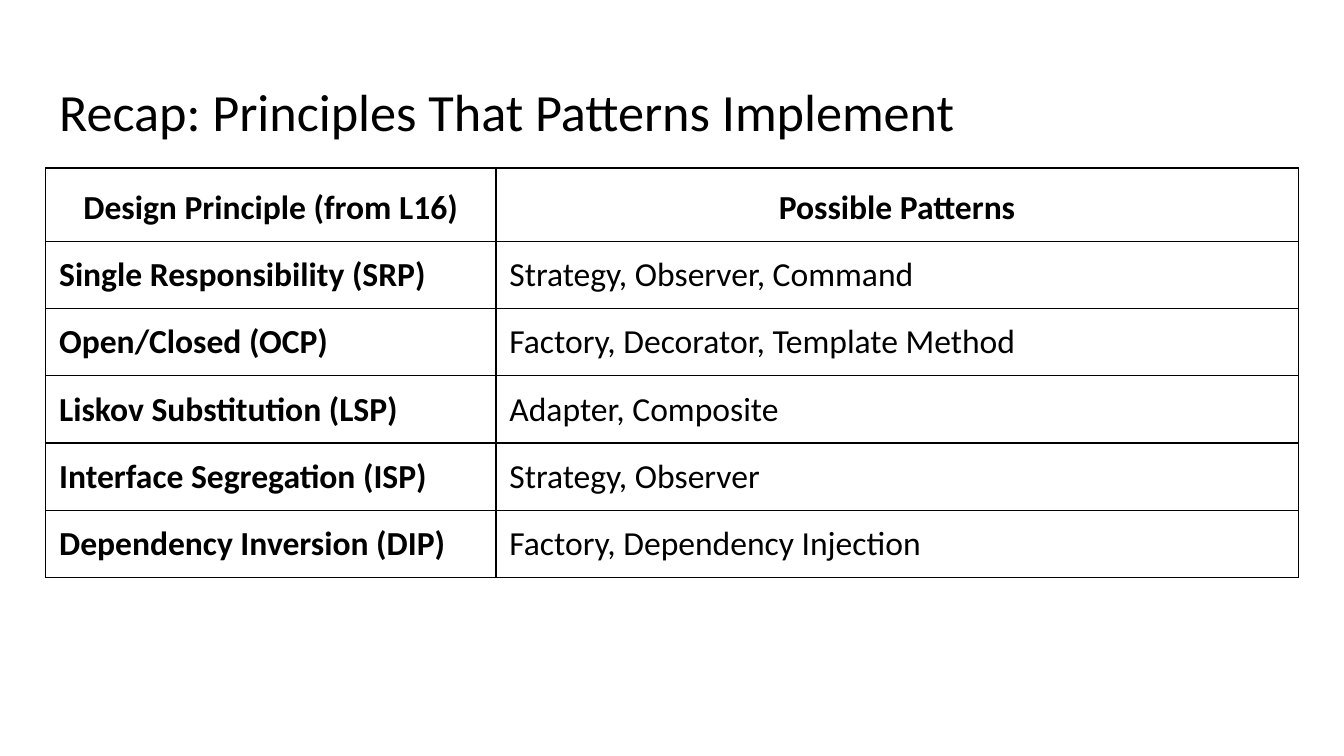
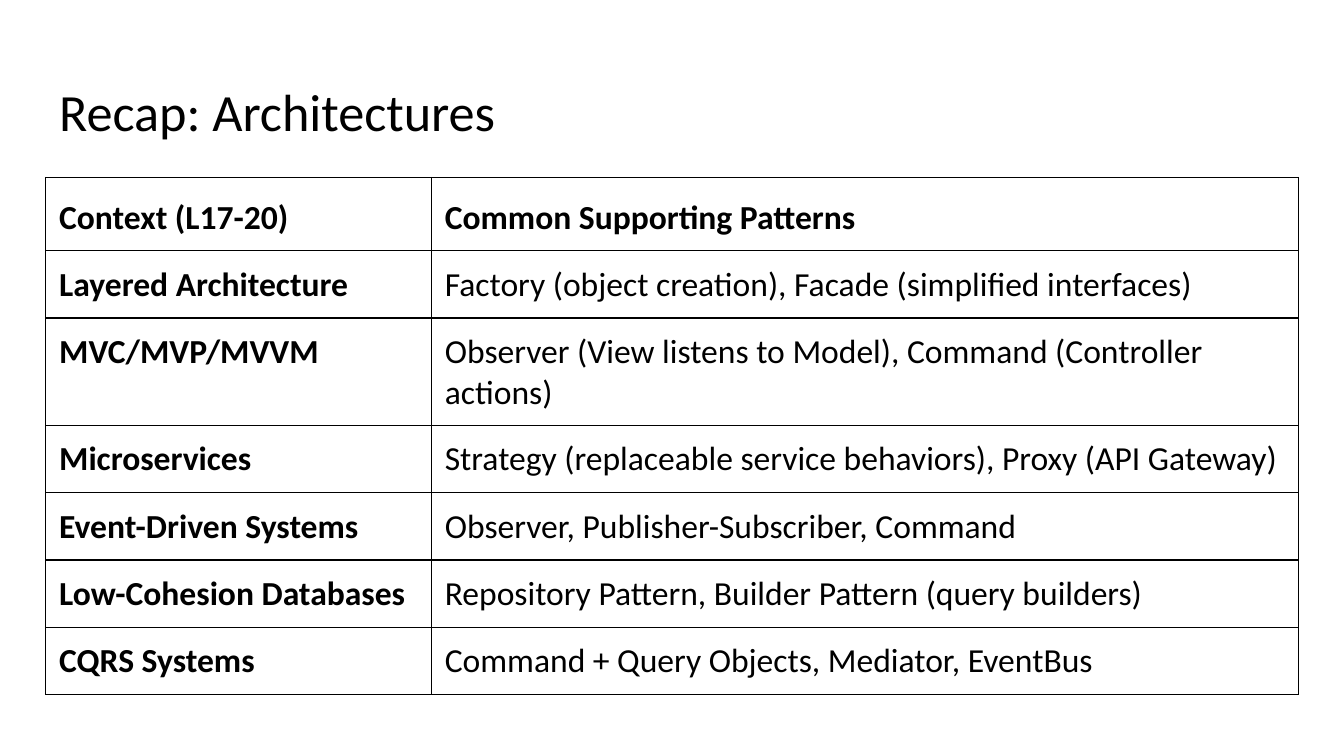
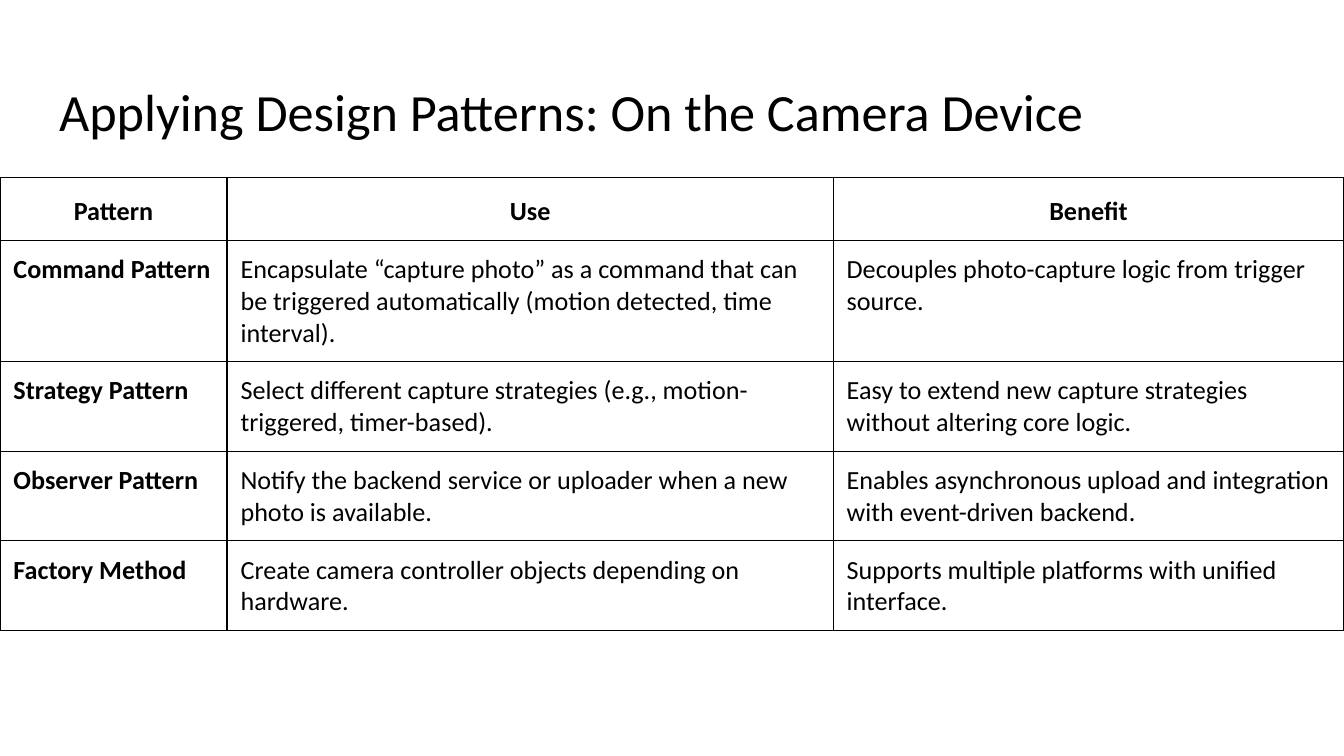
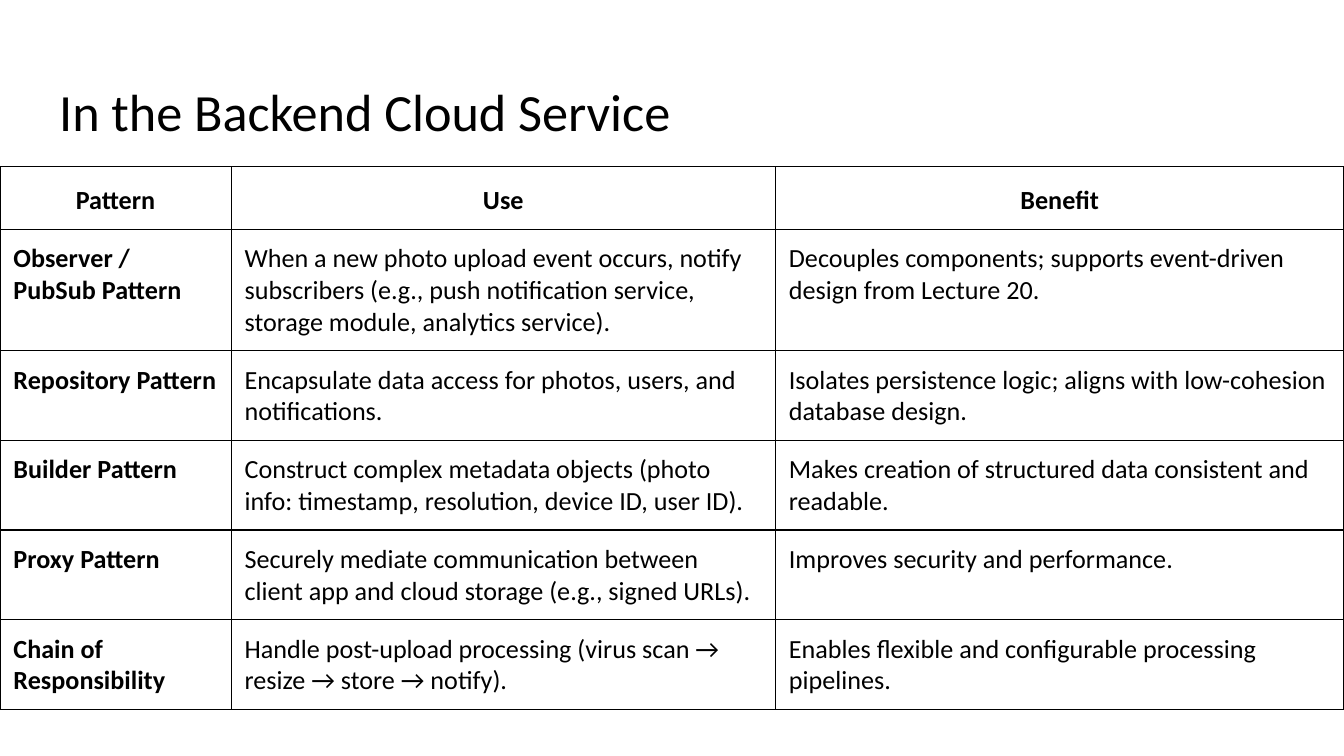
from dataclasses import dataclass

from lxml.etree import SubElement
from pptx import Presentation
from pptx.dml.color import RGBColor
from pptx.enum.text import MSO_ANCHOR, MSO_AUTO_SIZE, PP_ALIGN
from pptx.oxml.ns import qn
from pptx.util import Inches, Pt


@dataclass(frozen=True)
class Theme:
    font: str = "Calibri"
    ink: str = "000000"
    head: int = 28
    large: int = 18
    small: int = 14
    rule: float = 0.75
    inset: float = 0.1
    lead: float = 1.15
    row: float = 0.21


THEME = Theme()
WIDTH = Inches(10)
HEIGHT = WIDTH * 9 // 16
TITLE = (0.34, 0.49, 9.32, 0.67)

# Content: the first row of each table is its header
SLIDES = [
    {
        "title": "Recap: Principles That Patterns Implement",
        "at": (0.34, 1.25), "cols": (3.35, 5.97), "tall": {},
        "size": THEME.large, "align": PP_ALIGN.CENTER,
        "rows": [
            ("Design Principle (from L16)", "Possible Patterns"),
            ("Single Responsibility (SRP)", "Strategy, Observer, Command"),
            ("Open/Closed (OCP)", "Factory, Decorator, Template Method"),
            ("Liskov Substitution (LSP)", "Adapter, Composite"),
            ("Interface Segregation (ISP)", "Strategy, Observer"),
            ("Dependency Inversion (DIP)", "Factory, Dependency Injection"),
        ],
    },
    {
        "title": "Recap: Architectures",
        "at": (0.34, 1.32), "cols": (2.87, 6.45), "tall": {2: 0.45},
        "size": THEME.large, "align": PP_ALIGN.LEFT,
        "rows": [
            ("Context (L17-20)", "Common Supporting Patterns"),
            ("Layered Architecture",
             "Factory (object creation), Facade (simplified interfaces)"),
            ("MVC/MVP/MVVM",
             "Observer (View listens to Model), Command (Controller actions)"),
            ("Microservices",
             "Strategy (replaceable service behaviors), Proxy (API Gateway)"),
            ("Event-Driven Systems", "Observer, Publisher-Subscriber, Command"),
            ("Low-Cohesion Databases",
             "Repository Pattern, Builder Pattern (query builders)"),
            ("CQRS Systems", "Command + Query Objects, Mediator, EventBus"),
        ],
    },
    {
        "title": "Applying Design Patterns: On the Camera Device",
        "at": (0, 1.32), "cols": (1.69, 4.51, 3.8), "tall": {},
        "size": THEME.small, "align": PP_ALIGN.CENTER,
        "rows": [
            ("Pattern", "Use", "Benefit"),
            ("Command Pattern",
             "Encapsulate “capture photo” as a command that can be triggered "
             "automatically (motion detected, time interval).",
             "Decouples photo-capture logic from trigger source."),
            ("Strategy Pattern",
             "Select different capture strategies (e.g., motion-triggered, "
             "timer-based).",
             "Easy to extend new capture strategies without altering core logic."),
            ("Observer Pattern",
             "Notify the backend service or uploader when a new photo is "
             "available.",
             "Enables asynchronous upload and integration with event-driven "
             "backend."),
            ("Factory Method",
             "Create camera controller objects depending on hardware.",
             "Supports multiple platforms with unified interface."),
        ],
    },
    {
        "title": "In the Backend Cloud Service",
        "at": (0, 1.24), "cols": (1.72, 4.05, 4.23), "tall": {},
        "size": THEME.small, "align": PP_ALIGN.CENTER,
        "rows": [
            ("Pattern", "Use", "Benefit"),
            ("Observer / PubSub Pattern",
             "When a new photo upload event occurs, notify subscribers (e.g., "
             "push notification service, storage module, analytics service).",
             "Decouples components; supports event-driven design from "
             "Lecture 20."),
            ("Repository Pattern",
             "Encapsulate data access for photos, users, and notifications.",
             "Isolates persistence logic; aligns with low-cohesion database "
             "design."),
            ("Builder Pattern",
             "Construct complex metadata objects (photo info: timestamp, "
             "resolution, device ID, user ID).",
             "Makes creation of structured data consistent and readable."),
            ("Proxy Pattern",
             "Securely mediate communication between client app and cloud "
             "storage (e.g., signed URLs).",
             "Improves security and performance."),
            ("Chain of Responsibility",
             "Handle post-upload processing (virus scan → resize → store → "
             "notify).",
             "Enables flexible and configurable processing pipelines."),
        ],
    },
]


# Shared text and border styles
def style(para, size, bold=False, align=PP_ALIGN.LEFT):
    para.alignment = align
    font = para.font
    font.name, font.size, font.bold = THEME.font, Pt(size), bold
    font.color.rgb = RGBColor.from_string(THEME.ink)


def pad(box):
    box.margin_left = box.margin_right = Inches(THEME.inset)
    box.margin_top = box.margin_bottom = Inches(THEME.inset)
    box.vertical_anchor = MSO_ANCHOR.TOP


def border(cell):
    props = cell._tc.get_or_add_tcPr()
    for side in ("lnL", "lnR", "lnT", "lnB"):
        line = SubElement(props, qn(f"a:{side}"), w=str(Pt(THEME.rule)))
        fill = SubElement(line, qn("a:solidFill"))
        SubElement(fill, qn("a:srgbClr"), val=THEME.ink)


# Slide parts
def add_title(slide, text):
    title = slide.shapes.title
    title.left, title.top, title.width, title.height = map(Inches, TITLE)
    frame = title.text_frame
    frame.text = text
    frame.word_wrap = True
    frame.auto_size = MSO_AUTO_SIZE.SHAPE_TO_FIT_TEXT
    pad(frame)
    style(frame.paragraphs[0], THEME.head)


def add_grid(slide, data):
    rows, cols = data["rows"], data["cols"]
    left, top = data["at"]
    # Rows grow from these least heights to fit their text
    highs = [data["tall"].get(r, THEME.row) for r in range(len(rows))]
    table = slide.shapes.add_table(
        len(rows), len(cols), Inches(left), Inches(top),
        Inches(sum(cols)), Inches(sum(highs))).table
    table.first_row = table.horz_banding = False
    for col, width in zip(table.columns, cols):
        col.width = Inches(width)
    for r, row in enumerate(rows):
        table.rows[r].height = Inches(highs[r])
        for c, text in enumerate(row):
            cell = table.cell(r, c)
            cell.text = text
            pad(cell)
            border(cell)
            cell.fill.background()
            para = cell.text_frame.paragraphs[0]
            if r == 0:
                style(para, data["size"], True, data["align"])
                para.line_spacing = THEME.lead
            else:
                style(para, data["size"], c == 0)


def main():
    deck = Presentation()
    deck.slide_width, deck.slide_height = WIDTH, HEIGHT
    plain = deck.slide_layouts.get_by_name("Title Only")
    for data in SLIDES:
        slide = deck.slides.add_slide(plain)
        add_title(slide, data["title"])
        add_grid(slide, data)
    deck.save("out.pptx")


if __name__ == "__main__":
    main()
